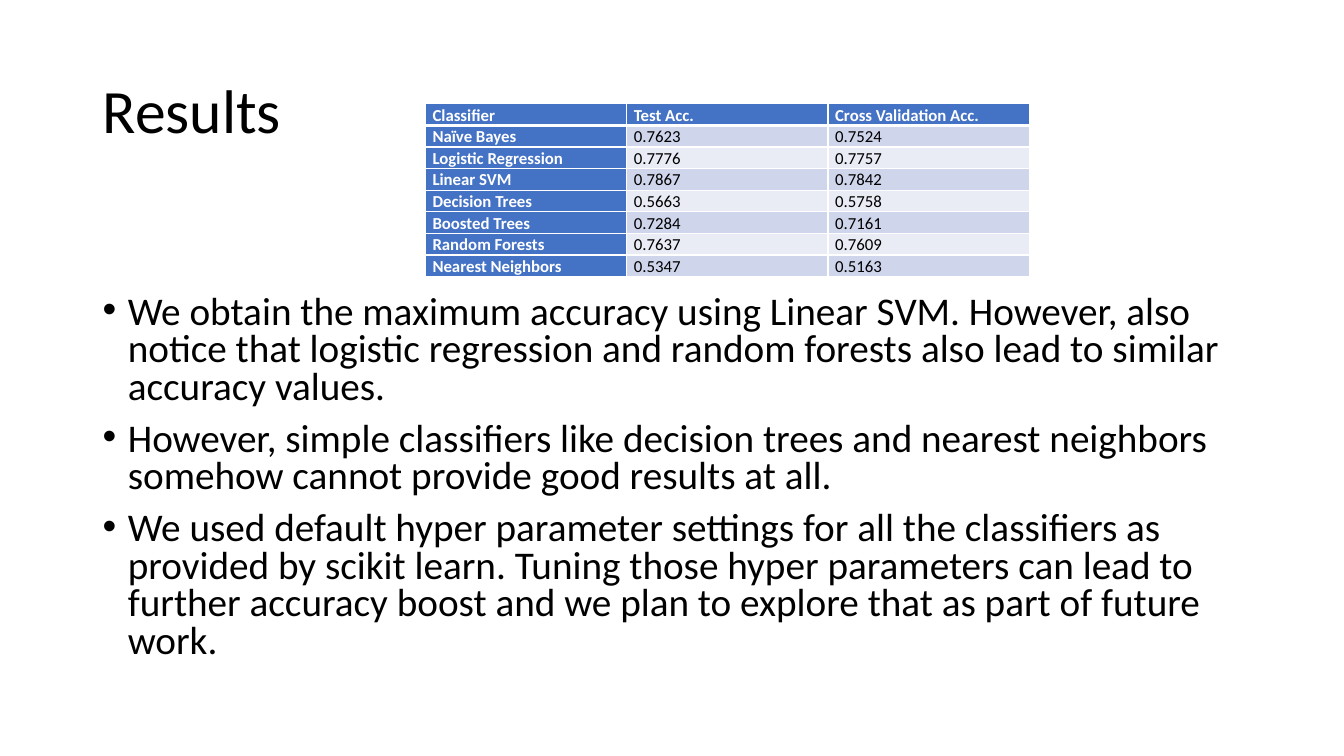
import pptx
import pptx.dml.color
import pptx.enum.text
import pptx.oxml.ns
import pptx.util
from lxml import etree
from pptx.util import Inches

FONT = "Calibri"
COLORS = {
    "text": "000000",
    "white": "FFFFFF",
    "header": "4472C4",
    "odd_band": "CFD5EA",
    "even_band": "E9EBF5",
}
RESULTS = [
    ("Classifier", "Test Acc.", "Cross Validation Acc."),
    ("Naïve Bayes", "0.7623", "0.7524"),
    ("Logistic Regression", "0.7776", "0.7757"),
    ("Linear SVM", "0.7867", "0.7842"),
    ("Decision Trees", "0.5663", "0.5758"),
    ("Boosted Trees", "0.7284", "0.7161"),
    ("Random Forests", "0.7637", "0.7609"),
    ("Nearest Neighbors", "0.5347", "0.5163"),
]
FINDINGS = [
    "We obtain the maximum accuracy using Linear SVM. However, also notice that "
    "logistic regression and random forests also lead to similar accuracy values.",
    "However, simple classifiers like decision trees and nearest neighbors "
    "somehow cannot provide good results at all.",
    "We used default hyper parameter settings for all the classifiers as provided "
    "by scikit learn. Tuning those hyper parameters can lead to further accuracy "
    "boost and we plan to explore that as part of future work.",
]


def rgb(name):
    """Return the named colour."""
    return pptx.dml.color.RGBColor.from_string(COLORS[name])


def format_paragraph(paragraph, size, line_spacing, color="text", bold=False):
    """Set the line spacing and the font of a paragraph's runs."""
    paragraph.line_spacing = line_spacing
    for run in paragraph.runs:
        run.font.name = FONT
        run.font.size = pptx.util.Pt(size)
        run.font.bold = bold
        run.font.color.rgb = rgb(color)


def add_bullet(paragraph):
    """Give a paragraph a hanging bullet."""
    properties = paragraph._p.get_or_add_pPr()
    properties.set("marL", str(Inches(0.25)))
    properties.set("indent", str(Inches(-0.25)))
    font = etree.SubElement(properties, pptx.oxml.ns.qn("a:buFont"))
    font.set("typeface", "Arial")
    bullet = etree.SubElement(properties, pptx.oxml.ns.qn("a:buChar"))
    bullet.set("char", "•")


def add_text_box(slide, left, top, width, height, text):
    """Add a wrapping text box and return its text frame."""
    shape = slide.shapes.add_textbox(
        Inches(left), Inches(top), Inches(width), Inches(height))
    text_frame = shape.text_frame
    text_frame.word_wrap = True
    text_frame.text = text
    return text_frame


def add_title(slide, text):
    """Add the vertically centred slide title."""
    text_frame = add_text_box(slide, 0.92, 0.4, 11.5, 1.45, text)
    text_frame.vertical_anchor = pptx.enum.text.MSO_ANCHOR.MIDDLE
    format_paragraph(text_frame.paragraphs[0], 44, 0.9)


def add_findings(slide, findings):
    """Add the bulleted findings."""
    text_frame = add_text_box(slide, 0.92, 2.88, 11.5, 3.87, "\n".join(findings))
    for paragraph in text_frame.paragraphs:
        paragraph.space_before = pptx.util.Pt(10)
        format_paragraph(paragraph, 28, 0.8)
        add_bullet(paragraph)


def set_border(cell, side, points):
    """Draw one white border of a cell."""
    properties = cell._tc.get_or_add_tcPr()
    line = etree.SubElement(properties, pptx.oxml.ns.qn(f"a:ln{side}"))
    line.set("w", str(pptx.util.Pt(points)))
    fill = etree.SubElement(line, pptx.oxml.ns.qn("a:solidFill"))
    color = etree.SubElement(fill, pptx.oxml.ns.qn("a:srgbClr"))
    color.set("val", COLORS["white"])


def format_cell(cell, row, column):
    """Style a cell by its place in the table."""
    is_heading = row == 0 or column == 0
    band = "odd_band" if row % 2 else "even_band"
    cell.margin_left = cell.margin_right = Inches(0.07)
    cell.margin_top = cell.margin_bottom = 0
    for side in "LRTB":
        below_header = (row, side) in ((0, "B"), (1, "T"))
        set_border(cell, side, 3 if below_header else 1)
    cell.fill.solid()
    cell.fill.fore_color.rgb = rgb("header" if is_heading else band)
    format_paragraph(cell.text_frame.paragraphs[0], 12, 1.07,
                     "white" if is_heading else "text", is_heading)


def add_results_table(slide, results):
    """Add the table of classifier accuracies."""
    shape = slide.shapes.add_table(
        len(results), len(results[0]),
        Inches(4.22), Inches(1.03), Inches(5.99), Inches(1.64))
    table = shape.table
    table.first_col = True
    for row, values in enumerate(results):
        for column, value in enumerate(values):
            cell = table.cell(row, column)
            cell.text_frame.text = value
            format_cell(cell, row, column)


def main():
    """Build and save the results slide."""
    presentation = pptx.Presentation()
    presentation.slide_width = Inches(13.33)
    presentation.slide_height = Inches(7.5)
    slide = presentation.slides.add_slide(presentation.slide_layouts[6])
    add_title(slide, "Results")
    add_results_table(slide, RESULTS)
    add_findings(slide, FINDINGS)
    presentation.save("out.pptx")


if __name__ == "__main__":
    main()
